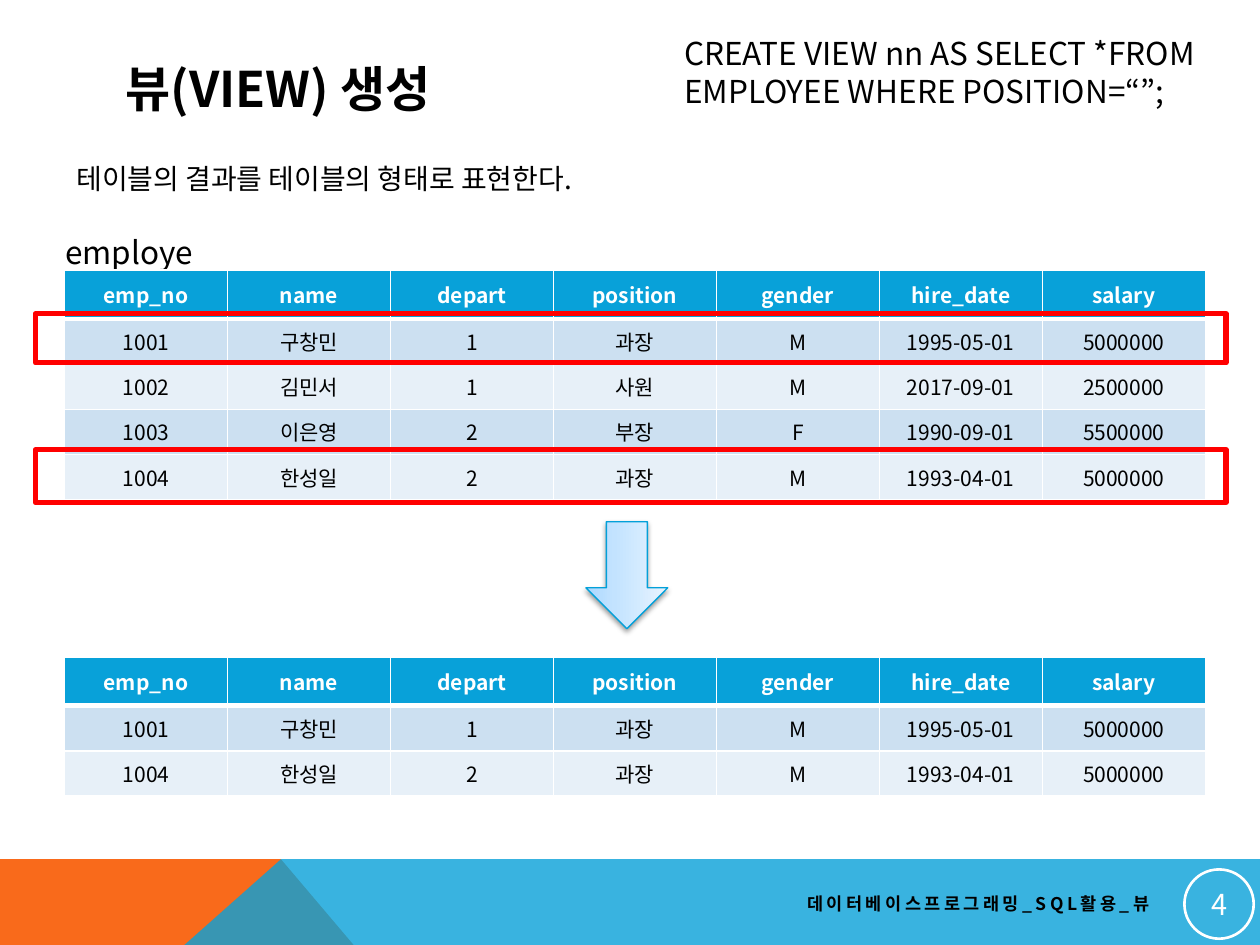
import pptx
import pptx.util
import pptx.dml.color
import pptx.enum.shapes
import pptx.enum.text
import pptx.oxml
import pptx.oxml.ns
from lxml import etree

Pt = pptx.util.Pt
Shape = pptx.enum.shapes.MSO_SHAPE
Align = pptx.enum.text.PP_ALIGN
Anchor = pptx.enum.text.MSO_ANCHOR
qn = pptx.oxml.ns.qn
FONT = "Noto Sans CJK KR"
INK = {
    "black": "000000", "white": "FFFFFF", "red": "FF0000",
    "orange": "F96A1B", "blue": "08A1D9", "edge": "03A0D9",
    "dark": "CCE0F1", "light": "E7F0F8",
    "sky": "ABD8FF", "pale": "C3E3FF", "mist": "E8F4FF",
}
HEAD = ["emp_no", "name", "depart", "position", "gender", "hire_date", "salary"]
STAFF = [
    ["1001", "구창민", "1", "과장", "M", "1995-05-01", "5000000"],
    ["1002", "김민서", "1", "사원", "M", "2017-09-01", "2500000"],
    ["1003", "이은영", "2", "부장", "F", "1990-09-01", "5500000"],
    ["1004", "한성일", "2", "과장", "M", "1993-04-01", "5000000"],
]


def color(name):
    return pptx.dml.color.RGBColor.from_string(INK[name])


def paint(fill, name):
    fill.solid()
    fill.fore_color.rgb = color(name)


def write(frame, text, size, ink="black", bold=False, align=Align.LEFT, gap=0):
    para = frame.paragraphs[0]
    para.text = text
    para.alignment = align
    font = para.font
    font.name = FONT
    font.size = Pt(size)
    font.bold = bold
    font.color.rgb = color(ink)
    props = para._p.pPr.find(qn("a:defRPr"))
    etree.SubElement(props, qn("a:ea"), typeface=FONT)
    if gap:
        props.set("spc", str(gap * 100))
    return para


def add_text(slide, box, text, size, anchor=Anchor.TOP, wrap=True, **style):
    frame = slide.shapes.add_textbox(*map(Pt, box)).text_frame
    frame.word_wrap = wrap
    frame.vertical_anchor = anchor
    return write(frame, text, size, **style)


def add_outline(slide, kind, box, ink, width):
    shape = slide.shapes.add_shape(kind, *map(Pt, box))
    shape.shadow.inherit = False
    shape.fill.background()
    shape.line.color.rgb = color(ink)
    shape.line.width = Pt(width)
    return shape


def add_band(slide, points, ink, alpha=None):
    pen = slide.shapes.build_freeform(*map(Pt, points[0]))
    pen.add_line_segments([(Pt(x), Pt(y)) for x, y in points[1:]], close=True)
    band = pen.convert_to_shape()
    band.shadow.inherit = False
    paint(band.fill, ink)
    band.line.fill.background()
    if alpha:
        tint = band._element.spPr.find(".//" + qn("a:srgbClr"))
        etree.SubElement(tint, qn("a:alpha"), val=str(alpha * 1000))


def add_arrow(slide):
    arrow = add_outline(slide, Shape.RIGHT_ARROW, (327.6, 305.3, 61.2, 46.8), "edge", 0.75)
    arrow.rotation = 90
    props = arrow._element.spPr
    stops = "".join(
        f'<a:gs pos="{at * 1000}"><a:srgbClr val="{INK[name]}"/></a:gs>'
        for at, name in [(0, "sky"), (35, "pale"), (100, "mist")])
    space = pptx.oxml.ns.nsdecls("a")
    blend = pptx.oxml.parse_xml(
        f'<a:gradFill {space} rotWithShape="1"><a:gsLst>{stops}</a:gsLst>'
        '<a:lin ang="16200000" scaled="0"/></a:gradFill>')
    props.replace(props.find(qn("a:noFill")), blend)
    shade = pptx.oxml.parse_xml(
        f'<a:outerShdw {space} blurRad="{Pt(3.1)}" dist="{Pt(1.6)}" dir="5400000" '
        f'rotWithShape="0"><a:srgbClr val="{INK["black"]}">'
        '<a:alpha val="38000"/></a:srgbClr></a:outerShdw>')
    props.find(qn("a:effectLst")).append(shade)


def add_edges(cell, foot):
    props = cell._tc.get_or_add_tcPr()
    for side, width in [("L", 1), ("R", 1), ("T", 1), ("B", foot)]:
        edge = etree.SubElement(props, qn("a:ln" + side), w=str(Pt(width)))
        fill = etree.SubElement(edge, qn("a:solidFill"))
        etree.SubElement(fill, qn("a:srgbClr"), val=INK["white"])


def add_grid(slide, top, body):
    rows = [HEAD] + body
    high = [28] + [25.8] * len(body)
    box = (36.9, top, 652, sum(high))
    grid = slide.shapes.add_table(len(rows), len(HEAD), *map(Pt, box)).table
    for col in grid.columns:
        col.width = Pt(652 / len(HEAD))
    for i, row in enumerate(rows):
        grid.rows[i].height = Pt(high[i])
        first = i == 0
        back = "blue" if first else "dark" if i % 2 else "light"
        for j, text in enumerate(row):
            cell = grid.cell(i, j)
            cell.vertical_anchor = Anchor.MIDDLE
            add_edges(cell, 3 if first else 1)
            paint(cell.fill, back)
            write(cell.text_frame, text, 12, "white" if first else "black",
                  first, Align.CENTER)


def add_badge(slide):
    badge = add_outline(slide, Shape.OVAL, (676.8, 496.8, 39.6, 39.6), "white", 1.5)
    frame = badge.text_frame
    frame.margin_left = frame.margin_right = Pt(0.7)
    frame.margin_top = frame.margin_bottom = Pt(0.7)
    frame.vertical_anchor = Anchor.MIDDLE
    write(frame, "4", 16.5, "white", align=Align.CENTER)


def main():
    deck = pptx.Presentation()
    deck.slide_width, deck.slide_height = Pt(720), Pt(540)
    slide = deck.slides.add_slide(deck.slide_layouts[6])
    add_band(slide, [(0, 491), (160.6, 491), (202.1, 540), (0, 540)], "orange")
    add_band(slide, [(160.6, 491), (720, 491), (720, 540), (105.4, 540)], "blue", 80)
    add_arrow(slide)
    add_badge(slide)
    label = add_text(slide, (30.2, 118.8, 95, 36), "employee", 18, wrap=False)
    label.line_spacing = 1.5
    add_grid(slide, 154.3, STAFF)
    for top, high in [(179.3, 28.1), (257, 30.2)]:
        add_outline(slide, Shape.RECTANGLE, (20.2, top, 680.4, high), "red", 3)
    add_grid(slide, 375.3, [row for row in STAFF if row[3] == "과장"])
    add_text(slide, (257.8, 505.4, 406, 21.6), "데이터베이스프로그래밍_SQL활용_뷰", 10,
             Anchor.MIDDLE, bold=True, align=Align.RIGHT, gap=2)
    add_text(slide, (64.8, 28.8, 592, 43.2), "뷰(VIEW) 생성", 28, Anchor.MIDDLE, bold=True)
    add_text(slide, (36.7, 88.6, 592, 36), "테이블의 결과를 테이블의 형태로 표현한다.", 16)
    add_text(slide, (383.8, 15.8, 323.3, 51),
             "CREATE VIEW nn AS SELECT *FROM EMPLOYEE WHERE POSITION=“”;", 18)
    deck.save("out.pptx")


if __name__ == "__main__":
    main()
